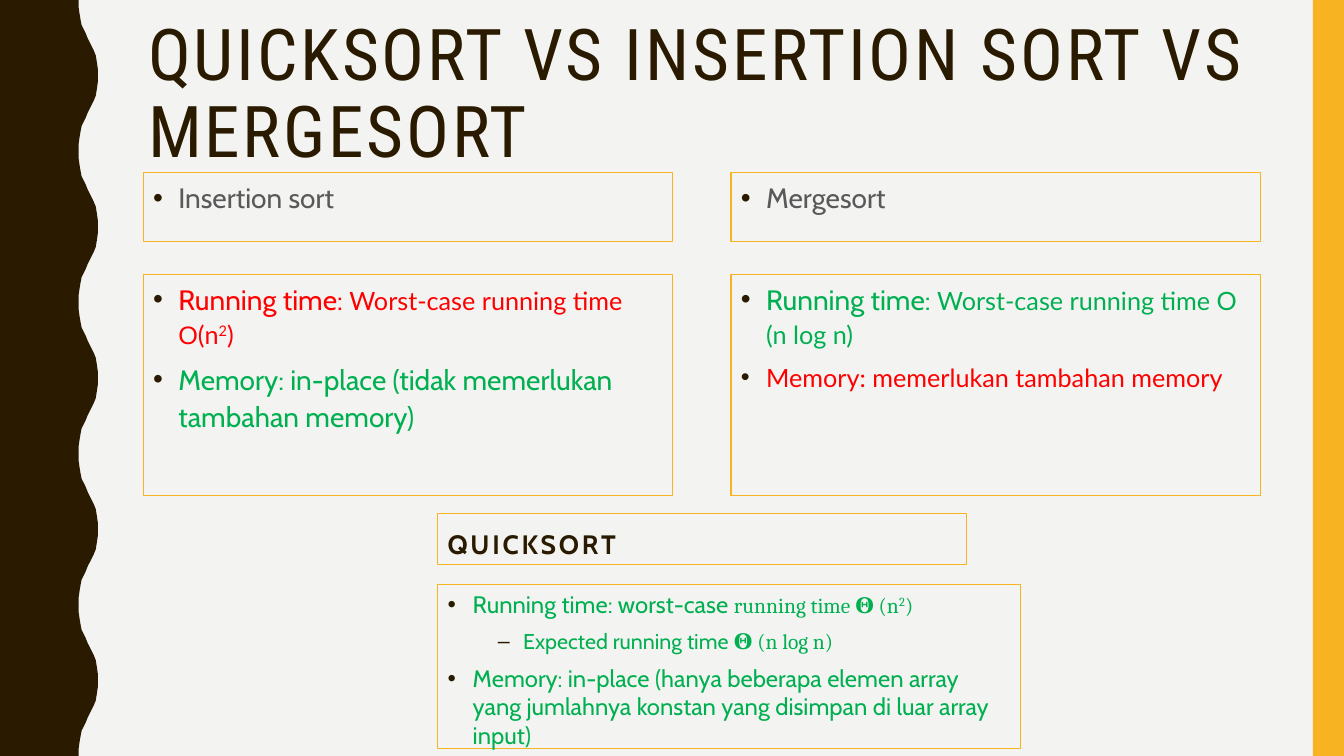
from dataclasses import dataclass
from typing import Optional

from lxml import etree
from pptx import Presentation
from pptx import util as u
from pptx.dml.color import RGBColor
from pptx.enum import shapes, text
from pptx.oxml.ns import qn


@dataclass(frozen=True)
class Theme:
    background: str = "F3F3F2"
    dark: str = "2A1A00"
    gold: str = "F8B323"
    gray: str = "595959"
    red: str = "FF0000"
    green: str = "00B050"
    title_font: str = "Roboto Condensed"
    body_font: str = "Cabin"
    detail_font: str = "Lato"
    formula_font: str = "Cambria"
    symbol_font: str = "Arial"
    title_size: float = 51
    body_size: float = 20
    heading_size: float = 19
    detail_size: float = 18
    quick_size: float = 17
    formula_size: float = 15.3


THEME = Theme()


@dataclass(frozen=True)
class Run:
    words: str
    color: str
    size: float = THEME.body_size
    font: str = THEME.body_font
    bold: bool = False
    tracking: int = 0
    superscript: bool = False


@dataclass(frozen=True)
class Line:
    runs: list[Run]
    bullet: Optional[str] = "•"
    indent: float = 0.25
    spacing: float = 1.1
    before: float = 7


@dataclass(frozen=True)
class Panel:
    left: float
    top: float
    width: float
    height: float
    lines: list[Line]
    anchor: text.MSO_ANCHOR = text.MSO_ANCHOR.TOP


def detail(words: str, color: str, **style) -> Run:
    return Run(words, color, THEME.detail_size, THEME.detail_font, **style)


def formula(words: str, **style) -> Run:
    return Run(words, THEME.green, THEME.formula_size, THEME.formula_font, **style)


def quick(words: str, size: float = THEME.quick_size) -> Run:
    return Run(words, THEME.green, size)


COLUMN_LEFTS = (1.42, 7.25)
COLUMN_WIDTH = 5.25
QUICK_LEFT = 4.34

COLUMNS = [
    ("Insertion sort", [
        Line([
            Run("Running time: ", THEME.red),
            detail("Worst-case running time ", THEME.red),
            Run("Ο", THEME.red, THEME.detail_size, THEME.symbol_font),
            detail("(n", THEME.red),
            detail("2", THEME.red, superscript=True),
            detail(")", THEME.red),
        ]),
        Line([Run("Memory: in-place (tidak memerlukan tambahan memory)", THEME.green)]),
    ]),
    ("Mergesort", [
        Line([
            Run("Running time: ", THEME.green),
            detail("Worst-case running time O (n log n)", THEME.green),
        ]),
        Line([detail("Memory: memerlukan tambahan memory", THEME.red)]),
    ]),
]

TITLE = Line(
    [Run("QUICKSORT VS INSERTION SORT VS MERGESORT", THEME.dark,
         THEME.title_size, THEME.title_font, tracking=200)],
    bullet=None, spacing=0.9, before=0,
)

QUICK_PANELS = [
    Panel(QUICK_LEFT, 5.09, COLUMN_WIDTH, 0.51, [
        Line([Run("QUICKSORT", THEME.dark, THEME.heading_size, bold=True, tracking=200)],
             bullet=None, spacing=1),
    ], text.MSO_ANCHOR.BOTTOM),
    Panel(QUICK_LEFT, 5.8, 5.78, 1.63, [
        Line([
            quick("Running time: worst-case "),
            formula("running time 𝚯 (n"),
            formula("2", superscript=True),
            formula(")"),
        ], spacing=1),
        Line([quick("Expected running time ", THEME.formula_size), formula("𝚯 (n log n)")],
             bullet="–", indent=0.75, spacing=1),
        Line([quick("Memory: in-place (hanya beberapa elemen array yang jumlahnya "
                    "konstan yang disimpan di luar array input)")], spacing=1),
    ]),
]


def paint(shape, color: str) -> None:
    """Fill a shape with one colour and no outline."""
    shape.shadow.inherit = False
    shape.fill.solid()
    shape.fill.fore_color.rgb = RGBColor.from_string(color)
    shape.line.fill.background()


def add_bullet(paragraph, line: Line) -> None:
    """Give a paragraph a hanging bullet."""
    properties = paragraph._p.get_or_add_pPr()
    properties.set("marL", str(u.Inches(line.indent)))
    properties.set("indent", str(-u.Inches(0.25)))
    color = etree.SubElement(properties, qn("a:buClr"))
    etree.SubElement(color, qn("a:srgbClr"), val=THEME.dark)
    etree.SubElement(properties, qn("a:buFont"), typeface=THEME.symbol_font)
    etree.SubElement(properties, qn("a:buChar"), char=line.bullet)


def write_lines(frame, lines: list[Line], anchor: text.MSO_ANCHOR) -> None:
    """Write styled paragraphs into a text frame."""
    frame.word_wrap = True
    frame.vertical_anchor = anchor
    for index, line in enumerate(lines):
        paragraph = frame.add_paragraph() if index else frame.paragraphs[0]
        paragraph.alignment = text.PP_ALIGN.LEFT
        paragraph.line_spacing = line.spacing
        paragraph.space_before = u.Pt(line.before)
        if line.bullet:
            paragraph.level = int(line.indent > 0.25)
            add_bullet(paragraph, line)
        for item in line.runs:
            run = paragraph.add_run()
            run.text = item.words
            run.font.name = item.font
            run.font.size = u.Pt(item.size)
            run.font.bold = item.bold
            run.font.color.rgb = RGBColor.from_string(item.color)
            if item.tracking:
                run.font._element.set("spc", str(item.tracking))
            if item.superscript:
                run.font._element.set("baseline", "30000")


def add_panel(slide, panel: Panel) -> None:
    """Draw a gold outlined box with its text."""
    box = (panel.left, panel.top, panel.width, panel.height)
    shape = slide.shapes.add_shape(shapes.MSO_SHAPE.RECTANGLE, *map(u.Inches, box))
    shape.shadow.inherit = False
    shape.fill.background()
    shape.line.color.rgb = RGBColor.from_string(THEME.gold)
    shape.line.width = u.Pt(0.75)
    write_lines(shape.text_frame, panel.lines, panel.anchor)


def add_wave(slide) -> None:
    """Draw the dark left band with five waves, in hundredths of an inch."""
    rise = [(78, 0), (78, 7), (79, 14), (80, 20), (81, 25), (83, 29), (85, 33), (87, 38),
            (89, 42), (91, 46), (93, 50), (95, 55), (96, 61), (97, 68), (97, 75)]
    fall = [(x, 150 - y) for x, y in reversed(rise[1:-1])]
    edge = [(x, y + 150 * wave) for wave in range(5) for x, y in rise + fall]
    builder = slide.shapes.build_freeform(0, 0, scale=u.Inches(0.01))
    builder.add_line_segments(edge + [(78, 750), (0, 750)], close=True)
    paint(builder.convert_to_shape(), THEME.dark)


def main() -> None:
    """Build and save the sorting comparison slide."""
    presentation = Presentation()
    presentation.slide_width = u.Inches(13.33)
    presentation.slide_height = u.Inches(7.5)
    slide = presentation.slides.add_slide(presentation.slide_layouts[6])
    slide.background.fill.solid()
    slide.background.fill.fore_color.rgb = RGBColor.from_string(THEME.background)
    add_wave(slide)
    band = slide.shapes.add_shape(
        shapes.MSO_SHAPE.RECTANGLE, *map(u.Inches, (13.02, 0, 0.31, 7.5)))
    paint(band, THEME.gold)
    title = slide.shapes.add_textbox(*map(u.Inches, (1.37, 0.14, 11.13, 1.63)))
    write_lines(title.text_frame, [TITLE], text.MSO_ANCHOR.MIDDLE)
    for left, (name, lines) in zip(COLUMN_LEFTS, COLUMNS):
        heading = [Line([Run(name, THEME.gray)])]
        add_panel(slide, Panel(left, 1.71, COLUMN_WIDTH, 0.69, heading))
        add_panel(slide, Panel(left, 2.72, COLUMN_WIDTH, 2.2, lines))
    for panel in QUICK_PANELS:
        add_panel(slide, panel)
    presentation.save("out.pptx")


if __name__ == "__main__":
    main()
